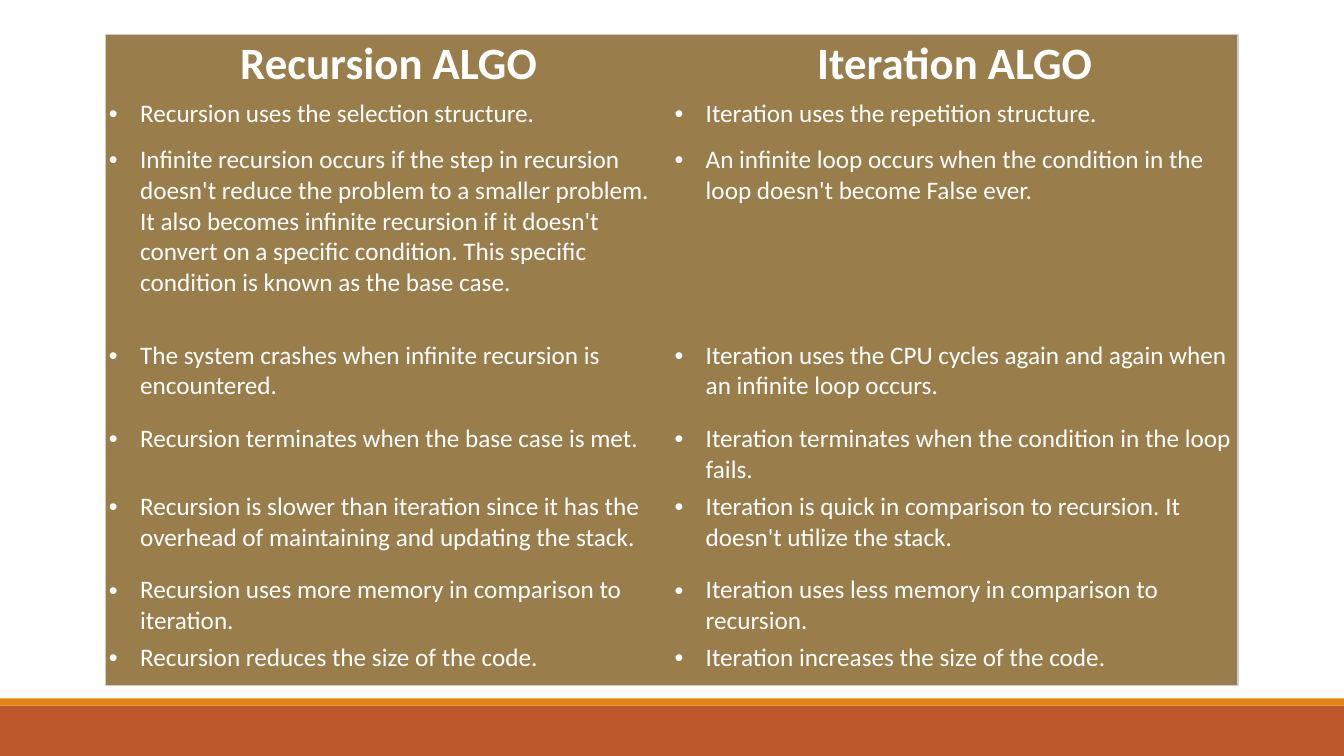
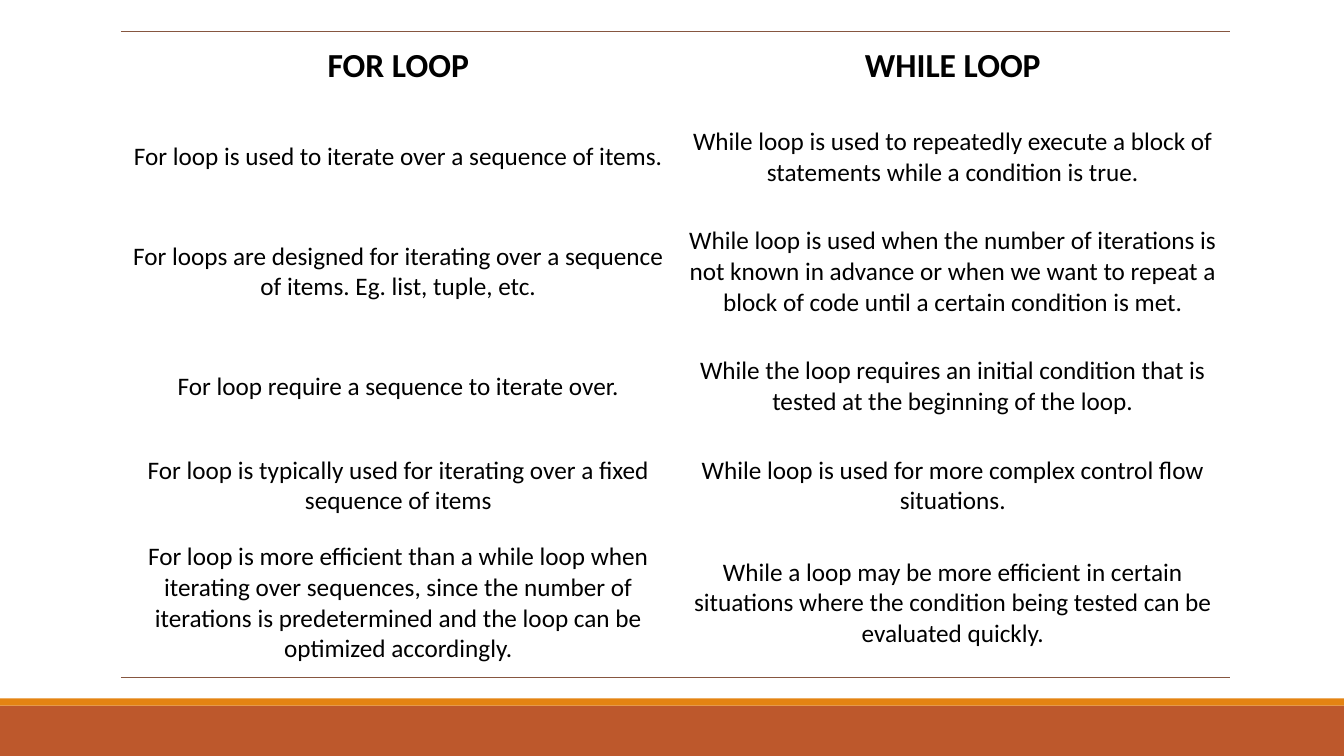
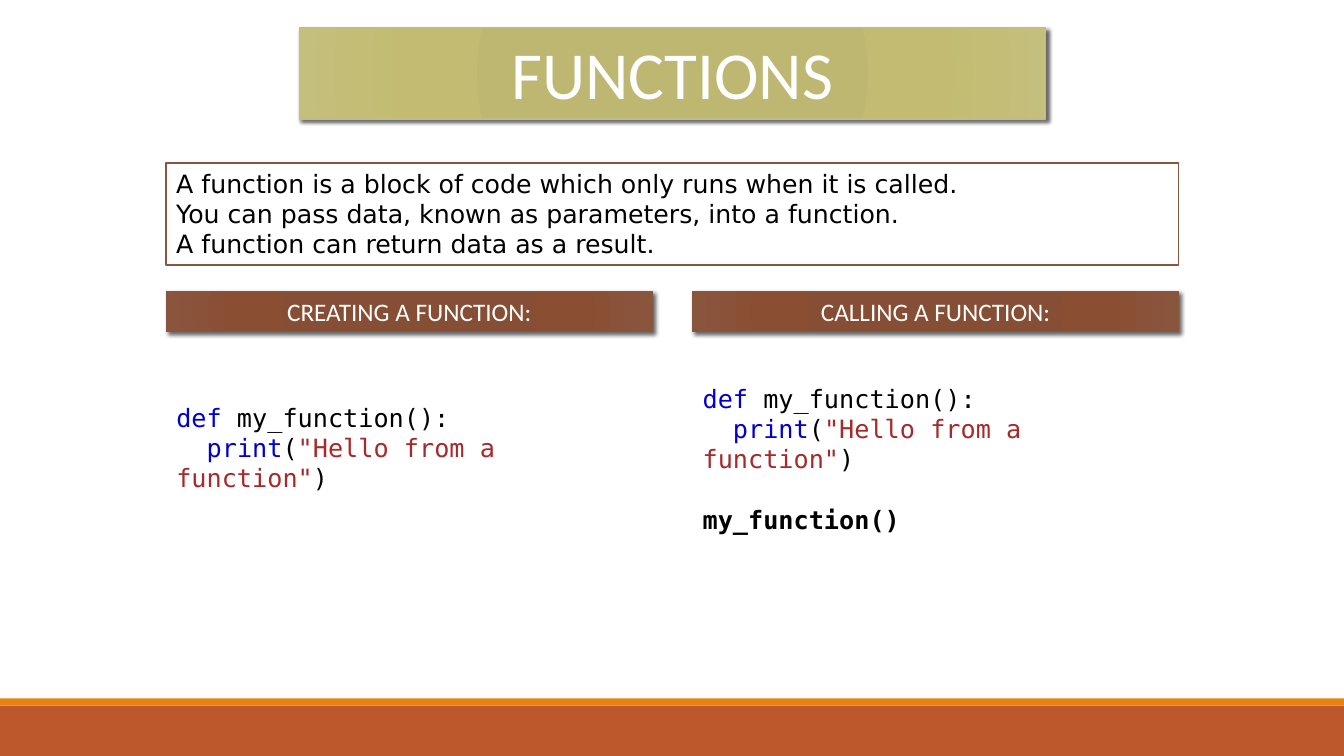
from lxml import etree
from pptx import Presentation
from pptx import util as u
from pptx.dml.color import RGBColor
from pptx.enum import shapes, text
from pptx.oxml import ns, parse_xml

Inches, Pt = u.Inches, u.Pt
COLORS = {
    "white": "FFFFFF", "black": "000000", "band": "BD582C", "stripe": "E48312",
    "table": "997D4A", "frame": "D5CDC3", "brown": "865640", "olive": "C2BC80",
    "keyword": "0000CD", "string": "A52A2A",
}
GRADIENTS = {
    "olive": {0: "BEB76E", 34: "BEB771", 70: "C3BB71", 100: "C5BF7D"},
    "brown": {0: "874C32", 34: "864E34", 70: "8A4E33", 100: "8A553D"},
}
NO_TABLE_STYLE = "{2D5ABB26-0587-4C30-8999-92F81FD0307C}"
CENTER = text.PP_ALIGN.CENTER


def rgb(name):
    return RGBColor.from_string(COLORS[name])


def xml(source):
    return parse_xml(source.replace(">", f" {ns.nsdecls('a')}>", 1))


def write(frame, content, font="Calibri", size=18, color="black", bold=False,
          align=None, bullet=None):
    """Fill a frame; each paragraph is a string or a list of (text, color, bold)."""
    for number, runs in enumerate(content):
        paragraph = frame.paragraphs[0] if number == 0 else frame.add_paragraph()
        paragraph.alignment = align
        if bullet:
            props = paragraph._p.get_or_add_pPr()
            props.set("marL", str(Inches(bullet)))
            props.set("indent", str(-Inches(bullet)))
            etree.SubElement(props, ns.qn("a:buFont"), typeface="Arial")
            etree.SubElement(props, ns.qn("a:buChar"), char="•")
        for words, ink, heavy in [(runs, color, bold)] if isinstance(runs, str) else runs:
            for line_number, line in enumerate(words.split("\n")):
                if line_number:
                    paragraph.add_line_break()
                if line:
                    run = paragraph.add_run()
                    run.text = line
                    run.font.name, run.font.size = font, Pt(size)
                    run.font.bold, run.font.color.rgb = heavy, rgb(ink)


class Deck:
    def __init__(self):
        self.file = Presentation()
        self.file.slide_width, self.file.slide_height = Inches(13.33), Inches(7.5)

    def new_slide(self):
        self.slide = self.file.slides.add_slide(self.file.slide_layouts[6])
        self.box(0, 7, 13.33, 0.5, fill="band")
        self.box(0, 6.93, 13.33, 0.07, fill="stripe")

    def box(self, x, y, w, h, fill, line=None, weight=1.0):
        shape = self.slide.shapes.add_shape(
            shapes.MSO_SHAPE.RECTANGLE, Inches(x), Inches(y), Inches(w), Inches(h))
        shape.shadow.inherit = False
        shape.fill.solid()
        shape.fill.fore_color.rgb = rgb(fill)
        if line:
            shape.line.color.rgb, shape.line.width = rgb(line), Pt(weight)
        else:
            shape.line.fill.background()
        return shape

    def fit(self, shape):
        frame = shape.text_frame
        frame.word_wrap = True
        frame.vertical_anchor = text.MSO_ANCHOR.TOP
        frame.auto_size = text.MSO_AUTO_SIZE.SHAPE_TO_FIT_TEXT
        return frame

    def note(self, x, y, w, h, lines, **style):
        shape = self.box(x, y, w, h, fill="white", line="brown", weight=1.25)
        write(self.fit(shape), lines, **style)

    def heading(self, x, y, w, h, words, tone, size):
        """Centred caption on a radial gradient with a soft shadow."""
        shape = self.box(x, y, w, h, fill=tone, line=tone)
        props = shape._element.spPr
        stops = "".join(f'<a:gs pos="{at * 1000}"><a:srgbClr val="{value}"/></a:gs>'
                        for at, value in GRADIENTS[tone].items())
        props.replace(props.find(ns.qn("a:solidFill")), xml(
            f'<a:gradFill><a:gsLst>{stops}</a:gsLst><a:path path="circle">'
            '<a:fillToRect l="100000" t="100000" r="100000" b="100000"/>'
            '</a:path></a:gradFill>'))
        props.replace(props.find(ns.qn("a:effectLst")), xml(
            f'<a:effectLst><a:outerShdw blurRad="{Pt(3)}" dist="{Pt(2)}" dir="2700000">'
            '<a:srgbClr val="000000"><a:alpha val="60000"/></a:srgbClr>'
            '</a:outerShdw></a:effectLst>'))
        write(self.fit(shape), [words], size=size, color="white", align=CENTER)

    def code(self, x, y, w, h, runs):
        listing = self.slide.shapes.add_textbox(Inches(x), Inches(y), Inches(w), Inches(h))
        write(self.fit(listing), [runs], font="DejaVu Sans Mono")

    def table(self, x, y, widths, heights, rows, insets, header_size, border, sides,
              fill=None, anchor=text.MSO_ANCHOR.TOP, header_insets=None,
              body_align=None, bullet=None, color="black"):
        grid = self.slide.shapes.add_table(
            len(rows), len(widths), Inches(x), Inches(y),
            Inches(sum(widths)), Inches(sum(heights))).table
        grid.first_row = grid.horz_banding = False
        grid._tbl.tblPr.find(ns.qn("a:tableStyleId")).text = NO_TABLE_STYLE
        for column, width in zip(grid.columns, widths):
            column.width = Inches(width)
        for row, height in zip(grid.rows, heights):
            row.height = Inches(height)
        for r, row in enumerate(rows):
            for c, words in enumerate(row):
                cell, header = grid.cell(r, c), r == 0
                across, down = header_insets if header and header_insets else insets
                cell.margin_left = cell.margin_right = Inches(across)
                cell.margin_top = cell.margin_bottom = Inches(down)
                cell.vertical_anchor = anchor
                write(cell.text_frame, [words], color=color, bold=header,
                      size=header_size if header else 18,
                      align=CENTER if header else body_align,
                      bullet=None if header else bullet)
                if fill:
                    cell.fill.solid()
                    cell.fill.fore_color.rgb = rgb(fill)
                else:
                    cell.fill.background()
                outer = {"L": c == 0, "R": c == len(row) - 1,
                         "T": header, "B": r == len(rows) - 1}
                edges = [side for side in "LRTB" if side in sides and outer[side]]
                for place, side in enumerate(edges):
                    cell._tc.tcPr.insert(place, xml(
                        f'<a:ln{side} w="{Pt(1)}"><a:solidFill><a:srgbClr '
                        f'val="{COLORS[border]}"/></a:solidFill></a:ln{side}>'))


RECURSION_ITERATION = [
    ("Recursion ALGO", "Iteration ALGO"),
    ("Recursion uses the selection structure.", "Iteration uses the repetition structure."),
    ("Infinite recursion occurs if the step in recursion doesn't reduce the problem to a "
     "smaller problem. It also becomes infinite recursion if it doesn't convert on a "
     "specific condition. This specific condition is known as the base case.",
     "An infinite loop occurs when the condition in the loop doesn't become False ever."),
    ("The system crashes when infinite recursion is encountered.",
     "Iteration uses the CPU cycles again and again when an infinite loop occurs."),
    ("Recursion terminates when the base case is met.",
     "Iteration terminates when the condition in the loop fails."),
    ("Recursion is slower than iteration since it has the overhead of maintaining and "
     "updating the stack.",
     "Iteration is quick in comparison to recursion. It doesn't utilize the stack."),
    ("Recursion uses more memory in comparison to iteration.",
     "Iteration uses less memory in comparison to recursion."),
    ("Recursion reduces the size of the code.", "Iteration increases the size of the code."),
]
FOR_WHILE = [
    ("FOR LOOP", "WHILE LOOP"),
    ("For loop is used to iterate over a sequence of items.",
     "While loop is used to repeatedly execute a block of statements while a condition "
     "is true."),
    ("For loops are designed for iterating over a sequence of items. Eg. list, tuple, etc.",
     "While loop is used when the number of iterations is not known in advance or when we "
     "want to repeat a block of code until a certain condition is met."),
    ("For loop require a sequence to iterate over.",
     "While the loop requires an initial condition that is tested at the beginning of "
     "the loop."),
    ("For loop is typically used for iterating over a fixed sequence of items",
     "While loop is used for more complex control flow situations."),
    ("For loop is more efficient than a while loop when iterating over sequences, since "
     "the number of iterations is predetermined and the loop can be optimized accordingly.",
     "While a loop may be more efficient in certain situations where the condition being "
     "tested can be evaluated quickly."),
]
DEFINITION = [
    ("def ", "keyword", False), ("my_function():\n  ", "black", False),
    ("print", "keyword", False), ("(", "black", False),
    ('"Hello from a function"', "string", False), (")", "black", False),
]
CALL = [("\n\n", "black", False), ("my_function()", "black", True)]


def main():
    deck = Deck()

    # Recursion and iteration
    deck.new_slide()
    deck.table(1.05, 0.34, [5.61, 5.62], [0.27, 0.46, 1.94, 0.83, 0.64, 0.83, 0.64, 0.46],
               RECURSION_ITERATION, insets=(0.03, 0.03), header_size=32, border="frame",
               sides="LRTB", fill="table", color="white", bullet=0.31)

    # For and while loops
    deck.new_slide()
    deck.table(1.2, 0.31, [5.5, 5.5], [0.69, 1.12, 1.12, 1.12, 0.76, 1.48], FOR_WHILE,
               insets=(0.08, 0.12), header_insets=(0.08, 0.08), header_size=24,
               border="brown", sides="TB", anchor=text.MSO_ANCHOR.MIDDLE, body_align=CENTER)

    # Functions
    deck.new_slide()
    left, right, half = 1.65, 6.87, 4.82
    deck.heading(2.97, 0.27, 7.4, 0.91, "FUNCTIONS", "olive", 48)
    deck.note(left, 1.62, right + half - left, 1.01, [
        "A function is a block of code which only runs when it is called.",
        "You can pass data, known as parameters, into a function.",
        "A function can return data as a result."], font="DejaVu Sans")
    for x, words in (left, "CREATING A FUNCTION:"), (right, "CALLING A FUNCTION:"):
        deck.heading(x, 2.89, half, 0.4, words, "brown", 18)
    deck.code(left, 3.94, half, 0.71, DEFINITION)
    deck.code(right, 3.75, 4.62, 1.31, DEFINITION + CALL)

    deck.file.save("out.pptx")


if __name__ == "__main__":
    main()
